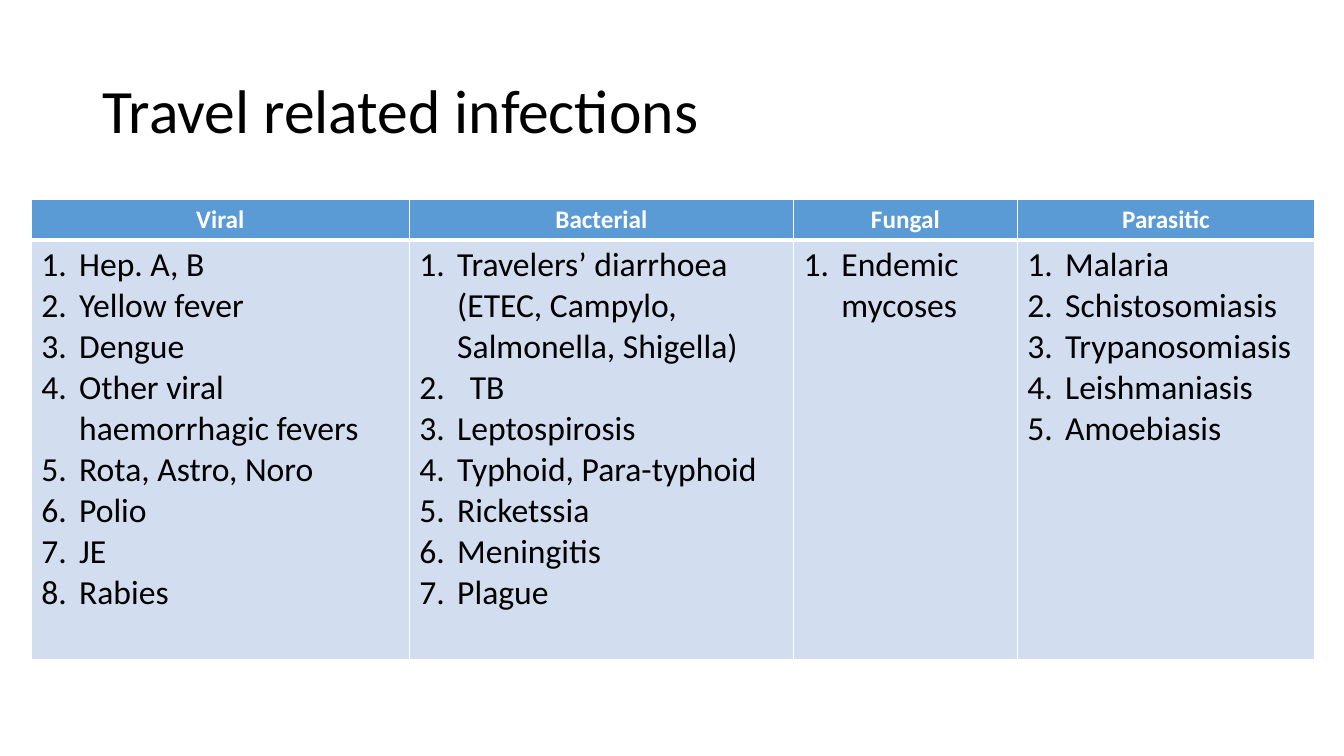
import dataclasses

import pptx
import pptx.dml.color
import pptx.enum.text
import pptx.oxml
import pptx.oxml.ns
import pptx.util

Inches = pptx.util.Inches
Align = pptx.enum.text.PP_ALIGN


@dataclasses.dataclass(frozen=True)
class Theme:
    face: str = "Calibri"
    ink: str = "000000"
    white: str = "FFFFFF"
    head: str = "5B9BD5"
    body: str = "D2DEEF"
    title_size: int = 44
    head_size: int = 18
    body_size: int = 24
    thin: int = 1
    thick: int = 3


@dataclasses.dataclass(frozen=True)
class Item:
    text: str
    indent: float = 0.375


@dataclasses.dataclass(frozen=True)
class Group:
    name: str
    width: float
    items: tuple[Item, ...]


THEME = Theme()
GROUPS = (
    Group("Viral", 3.75, (
        Item("Hep. A, B"),
        Item("Yellow fever"),
        Item("Dengue"),
        Item("Other viral haemorrhagic fevers"),
        Item("Rota, Astro, Noro"),
        Item("Polio"),
        Item("JE"),
        Item("Rabies"),
    )),
    Group("Bacterial", 3.81, (
        Item("Travelers’ diarrhoea (ETEC, Campylo, Salmonella, Shigella)"),
        Item("TB", 0.5),
        Item("Leptospirosis"),
        Item("Typhoid, Para-typhoid"),
        Item("Ricketssia"),
        Item("Meningitis"),
        Item("Plague"),
    )),
    Group("Fungal", 2.22, (Item("Endemic mycoses"),)),
    Group("Parasitic", 2.95, (
        Item("Malaria"),
        Item("Schistosomiasis"),
        Item("Trypanosomiasis"),
        Item("Leishmaniasis"),
        Item("Amoebiasis"),
    )),
)
ROWS = (0.4, 4.16)


def style(para, size: int, tint: str, bold: bool = False) -> None:
    font = para.font
    font.name = THEME.face
    font.size = pptx.util.Pt(size)
    font.bold = bold
    font.color.rgb = pptx.dml.color.RGBColor.from_string(tint)


def number(para, indent: float) -> None:
    props = para._p.get_or_add_pPr()
    props.set("marL", str(Inches(indent)))
    props.set("indent", str(-Inches(indent)))
    space = pptx.oxml.ns.nsdecls("a")
    for tag in ('buFont typeface="+mj-lt"', 'buAutoNum type="arabicPeriod"'):
        props.append(pptx.oxml.parse_xml(f"<a:{tag} {space}/>"))


def paint(cell, fill: str, top: int, bottom: int) -> None:
    cell.fill.solid()
    cell.fill.fore_color.rgb = pptx.dml.color.RGBColor.from_string(fill)
    props = cell._tc.get_or_add_tcPr()
    space = pptx.oxml.ns.nsdecls("a")
    sides = {"L": THEME.thin, "R": THEME.thin, "T": top, "B": bottom}
    for place, (side, width) in enumerate(sides.items()):
        line = pptx.oxml.parse_xml(
            f'<a:ln{side} {space} w="{pptx.util.Pt(width)}"><a:solidFill>'
            f'<a:srgbClr val="{THEME.white}"/></a:solidFill></a:ln{side}>')
        props.insert(place, line)


def add_title(slide, text: str) -> None:
    box = slide.shapes.add_textbox(
        Inches(0.92), Inches(0.4), Inches(11.5), Inches(1.45))
    frame = box.text_frame
    frame.word_wrap = True
    frame.vertical_anchor = pptx.enum.text.MSO_ANCHOR.MIDDLE
    para = frame.paragraphs[0]
    para.text = text
    para.line_spacing = 0.9
    style(para, THEME.title_size, THEME.ink)


def fill_head(cell, name: str) -> None:
    para = cell.text_frame.paragraphs[0]
    para.text = name
    para.alignment = Align.CENTER
    style(para, THEME.head_size, THEME.white, True)
    paint(cell, THEME.head, THEME.thin, THEME.thick)


def fill_list(cell, items: tuple[Item, ...]) -> None:
    frame = cell.text_frame
    for place, item in enumerate(items):
        para = frame.add_paragraph() if place else frame.paragraphs[0]
        para.text = item.text
        number(para, item.indent)
        style(para, THEME.body_size, THEME.ink)
    paint(cell, THEME.body, THEME.thick, THEME.thin)


def add_grid(slide, groups: tuple[Group, ...]) -> None:
    width = sum(group.width for group in groups)
    grid = slide.shapes.add_table(
        len(ROWS), len(groups), Inches(0.31), Inches(1.98),
        Inches(width), Inches(sum(ROWS))).table
    grid.horz_banding = False
    for row, height in zip(grid.rows, ROWS):
        row.height = Inches(height)
    for col, group in enumerate(groups):
        grid.columns[col].width = Inches(group.width)
        fill_head(grid.cell(0, col), group.name)
        fill_list(grid.cell(1, col), group.items)


def main() -> None:
    deck = pptx.Presentation()
    deck.slide_width = Inches(13.33)
    deck.slide_height = Inches(7.5)
    slide = deck.slides.add_slide(deck.slide_layouts[6])
    add_title(slide, "Travel related infections")
    add_grid(slide, GROUPS)
    deck.save("out.pptx")


if __name__ == "__main__":
    main()
